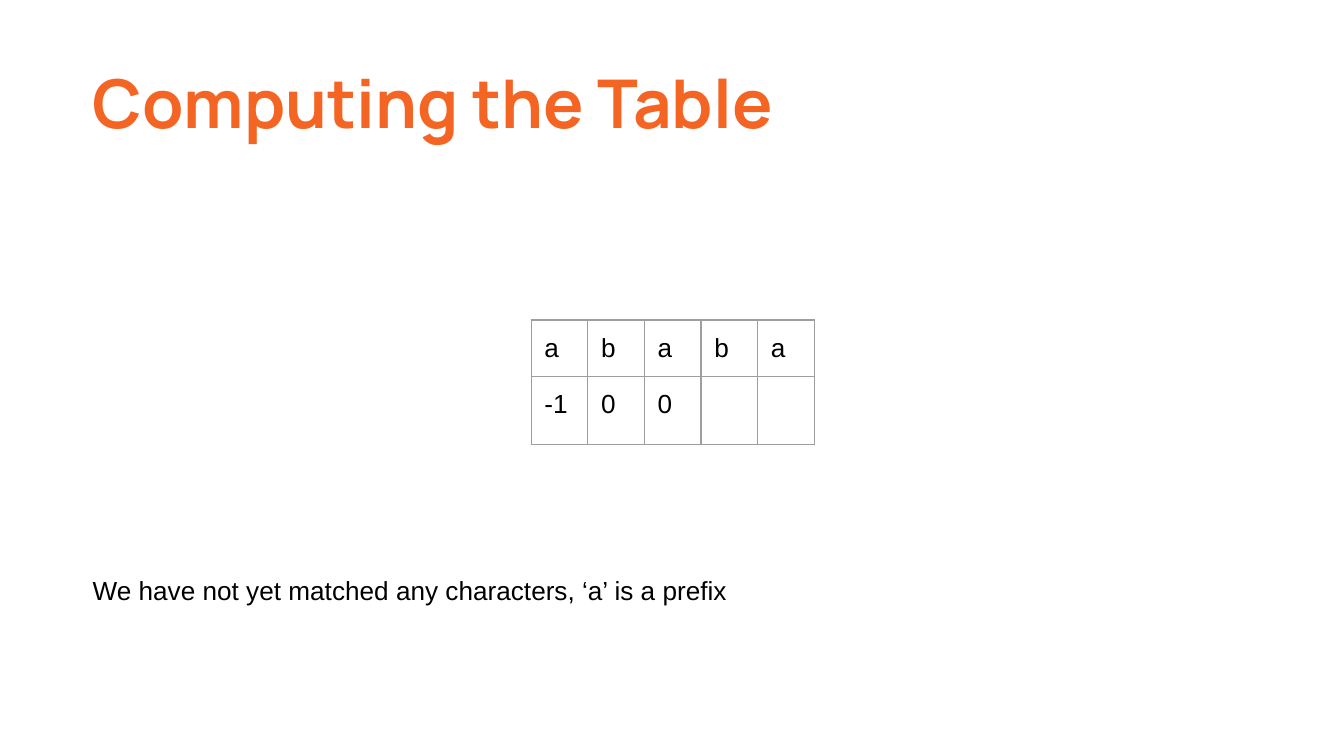
from typing import NamedTuple

from lxml import etree
from pptx import Presentation
from pptx.dml.color import RGBColor
from pptx.enum import text
from pptx.oxml.ns import qn
from pptx.util import Cm, Pt

ORANGE = RGBColor(0xF4, 0x65, 0x24)
BLACK = RGBColor(0, 0, 0)
GREY = RGBColor(0x9E, 0x9E, 0x9E)
INSET = Cm(0.25)
CELL = Cm(1.07)
LEFT, WIDTH = Cm(1.5), Cm(22.35)


class Style(NamedTuple):
    font: str
    size: int
    color: RGBColor
    bold: bool = False


TITLE = Style("Manrope", 36, ORANGE, True)
BODY = Style("Arial", 14, BLACK)

# Pattern letters above their failure-table values
ROWS = [
    ["a", "b", "a", "b", "a"],
    ["-1", "0", "0", "", ""],
]


def write(tf, words: str, style: Style) -> None:
    tf.text = words
    for r in tf.paragraphs[0].runs:
        r.font.name = style.font
        r.font.size = Pt(style.size)
        r.font.bold = style.bold
        r.font.color.rgb = style.color


def set_insets(box) -> None:
    """Give a cell or text frame the same margin on all sides."""
    box.margin_left = box.margin_right = INSET
    box.margin_top = box.margin_bottom = INSET


def add_borders(cell) -> None:
    tc_pr = cell._tc.get_or_add_tcPr()
    for i, side in enumerate(("lnL", "lnR", "lnT", "lnB")):
        ln = etree.Element(qn(f"a:{side}"), w=str(Pt(0.75)))
        fill = etree.SubElement(ln, qn("a:solidFill"))
        etree.SubElement(fill, qn("a:srgbClr"), val=str(GREY))
        tc_pr.insert(i, ln)


def add_grid(s, rows: list[list[str]]) -> None:
    n_rows, n_cols = len(rows), len(rows[0])
    table = s.shapes.add_table(n_rows, n_cols, Cm(10.04), Cm(6.05),
                               CELL * n_cols, CELL * n_rows).table
    table.first_row = table.horz_banding = False
    for line in (*table.rows,):
        line.height = CELL
    for column in table.columns:
        column.width = CELL
    for i, row in enumerate(rows):
        for j, words in enumerate(row):
            cell = table.cell(i, j)
            cell.fill.background()
            set_insets(cell)
            add_borders(cell)
            if words:
                write(cell.text_frame, words, BODY)


def main() -> None:
    prs = Presentation()
    prs.slide_width, prs.slide_height = Cm(25.4), Cm(14.29)
    s = prs.slides.add_slide(prs.slide_layouts[5])

    title = s.shapes.title
    title.left, title.top, title.width, title.height = LEFT, Cm(0.81), WIDTH, Cm(2.13)
    tf = title.text_frame
    tf.auto_size = text.MSO_AUTO_SIZE.NONE
    tf.vertical_anchor = text.MSO_ANCHOR.BOTTOM
    set_insets(tf)
    write(tf, "Computing the Table", TITLE)
    tf.paragraphs[0].alignment = text.PP_ALIGN.LEFT
    tf.paragraphs[0].space_after = Pt(16)

    add_grid(s, ROWS)

    caption = s.shapes.add_textbox(LEFT, Cm(10.6), WIDTH, Cm(2.72))
    tf = caption.text_frame
    tf.word_wrap = True
    set_insets(tf)
    write(tf, "We have not yet matched any characters, ‘a’ is a prefix", BODY)

    prs.save("out.pptx")


if __name__ == "__main__":
    main()
